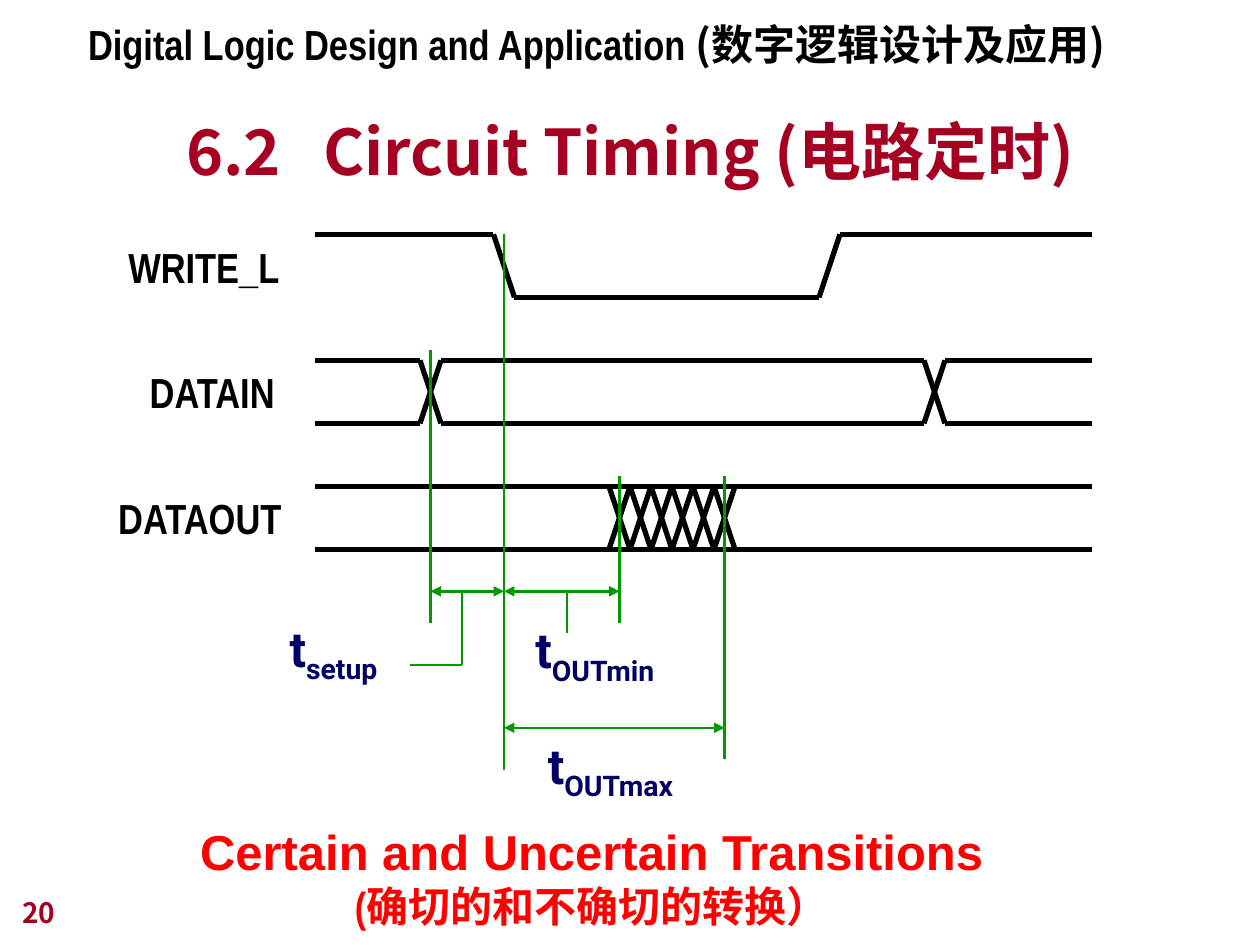
"""Build a slide with a timing diagram of a write cycle and its delays."""
from lxml import etree
from pptx import Presentation
from pptx import util as u
from pptx.dml.color import RGBColor
from pptx.enum import shapes, text
from pptx.oxml.ns import qn

BLACK = RGBColor(0x00, 0x00, 0x00)
GREEN = RGBColor(0x00, 0x99, 0x00)
NAVY = RGBColor(0x00, 0x00, 0x66)
CRIMSON = RGBColor(0xA5, 0x00, 0x21)
RED = RGBColor(0xFF, 0x00, 0x00)
NARROW, SANS, CJK, LABEL = "Arial Narrow", "Arial", "Noto Sans CJK JP", "Roboto"

LEFT, TOP, STEP = 2.5, 1.86, 1 / 12
END, SWING, SLOPE = 74, 6, 2

WRITE_ROW, DATAIN_ROW, DATAOUT_ROW = 0, 12, 24
WRITE_POINTS = [(0, 0), (17, 0), (19, SWING), (48, SWING), (50, 0), (END, 0)]
DATAIN_CROSSINGS = [10, 58]
DATAOUT_CROSSINGS = range(28, 40, SLOPE)

SIGNALS = [("WRITE_L", 0.92, 1.87, 1.4), ("DATAIN", 1.09, 2.86, 1.23), ("DATAOUT", 0.84, 3.86, 1.53)]
DELAYS = [("setup", 2.2, 4.86, 1.0), ("OUTmin", 4.15, 4.87, 1.28), ("OUTmax", 4.25, 5.79, 1.33)]
GUIDES = [(11, 11, 37), (18, 0, 51), (29, 23, 37), (39, 23, 50)]
SPANS = [(11, 18, 34), (18, 29, 34), (18, 39, 47)]
LEADERS = [((14, 34), (14, 41)), ((14, 41), (9, 41)), ((24, 34), (24, 38))]

presentation = Presentation()
presentation.slide_width, presentation.slide_height = u.Inches(10), u.Inches(7.5)
slide = presentation.slides.add_slide(presentation.slide_layouts[6])


def add_line(start, end, color=BLACK, width=3, arrows=False):
    ends = [u.Inches(origin + value * STEP)
            for point in (start, end) for origin, value in zip((LEFT, TOP), point)]
    line = slide.shapes.add_connector(shapes.MSO_CONNECTOR.STRAIGHT, *ends)
    line.line.color.rgb = color
    line.line.width = u.Pt(width)
    properties = line._element.spPr
    if arrows:
        for tag in ("a:headEnd", "a:tailEnd"):
            etree.SubElement(properties.find(qn("a:ln")), qn(tag), type="triangle")
    etree.SubElement(properties, qn("a:effectLst"))


def add_text(box, paragraphs, color, wrap=False, align=text.PP_ALIGN.LEFT, anchor=text.MSO_ANCHOR.TOP):
    shape = slide.shapes.add_textbox(*map(u.Inches, box))
    frame = shape.text_frame
    frame.word_wrap, frame.vertical_anchor = wrap, anchor
    for index, runs in enumerate(paragraphs):
        paragraph = frame.add_paragraph() if index else frame.paragraphs[0]
        paragraph.alignment = align
        for words, size, font, extra in runs:
            run = paragraph.add_run()
            run.text = words
            run.font.size, run.font.name = u.Pt(size), font
            run.font.bold, run.font.color.rgb = True, color
            properties = run.font._element
            etree.SubElement(properties, qn("a:ea"), typeface=CJK)
            for name, value in extra.items():
                properties.set(name, value)


def add_bus(row, crossings, rails):
    for start, end in rails:
        for level in (row, row + SWING):
            add_line((start, level), (end, level))
    for column in crossings:
        add_line((column, row), (column + SLOPE, row + SWING))
        add_line((column, row + SWING), (column + SLOPE, row))


for start, end in zip(WRITE_POINTS, WRITE_POINTS[1:]):
    add_line(start, end)
rail_starts = [0] + [column + SLOPE for column in DATAIN_CROSSINGS]
add_bus(DATAIN_ROW, DATAIN_CROSSINGS, zip(rail_starts, DATAIN_CROSSINGS + [END]))
add_bus(DATAOUT_ROW, DATAOUT_CROSSINGS, [(0, END)])

for column, first, last in GUIDES:
    add_line((column, first), (column, last), GREEN, 1.5)
for first, last, row in SPANS:
    add_line((first, row), (last, row), GREEN, 1.5, arrows=True)
for start, end in LEADERS:
    add_line(start, end, GREEN, 1.5)

for name, left, top, width in SIGNALS:
    add_text((left, top, width, 0.5), [[(name, 24, NARROW, {})]], BLACK)
for name, left, top, width in DELAYS:
    runs = [("t", 28, LABEL, {}), (name, 28, LABEL, {"baseline": "-25000"})]
    add_text((left, top, width, 0.63), [runs], NAVY)

add_text((0.75, 0.71, 8.5, 0.83),
         [[("6.2", 36, CJK, {}), (" ", 36, CJK, {"spc": "1600"}),
           ("Circuit Timing (电路定时)", 36, CJK, {})]],
         CRIMSON, True, text.PP_ALIGN.CENTER, text.MSO_ANCHOR.BOTTOM)
add_text((1.44, 6.47, 6.51, 0.97),
         [[("Certain and Uncertain Transitions", 28, SANS, {})],
          [("(确切的和不确切的转换）", 24, NARROW, {})]],
         RED, align=text.PP_ALIGN.CENTER)
add_text((0.6, 0.1, 8.41, 0.5),
         [[("Digital Logic Design and Application ", 24, NARROW, {}),
           ("(数字逻辑设计及应用)", 24, CJK, {})]], BLACK, True)
add_text((0.08, 6.92, 2.08, 0.5), [[("20", 16, CJK, {})]], CRIMSON, True,
         anchor=text.MSO_ANCHOR.BOTTOM)

presentation.save("out.pptx")
